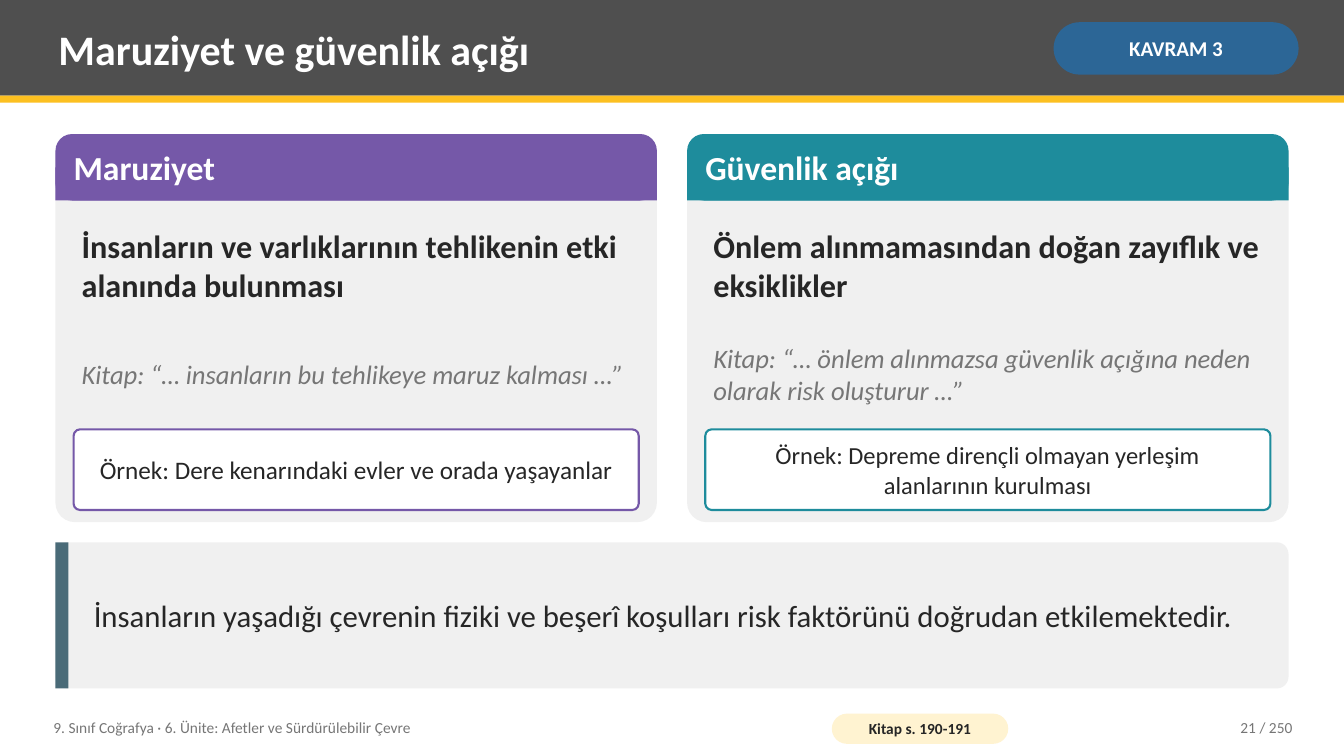
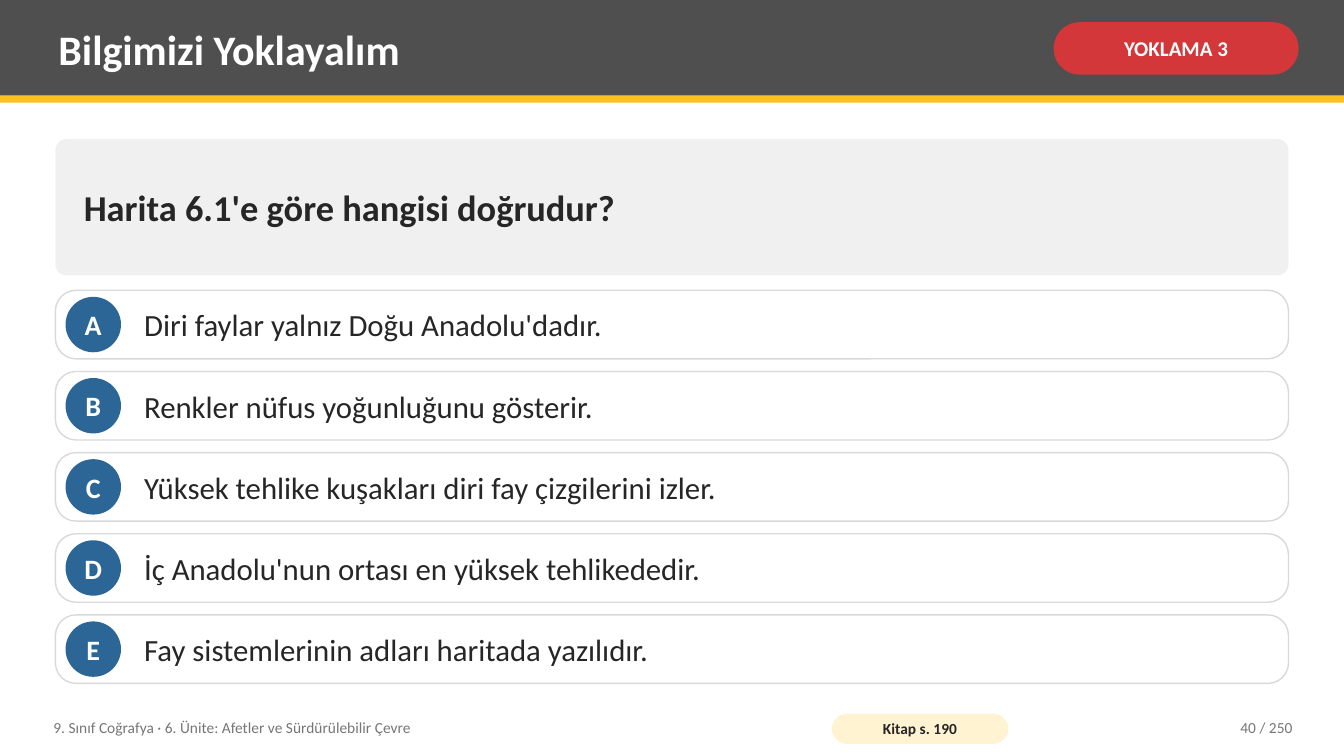
from lxml.etree import SubElement
from pptx import Presentation
from pptx.dml.color import RGBColor
from pptx.enum.shapes import MSO_SHAPE
from pptx.enum.text import MSO_ANCHOR, MSO_AUTO_SIZE, PP_ALIGN
from pptx.util import Inches, Pt

SLIDE_WIDTH, SLIDE_HEIGHT = 13.33, 7.5
MARGIN = 0.55
CONTENT_WIDTH = 12.23
COLUMN_GAP = 0.3
COLUMN_WIDTH = (CONTENT_WIDTH - COLUMN_GAP) / 2
CARD_TOP = 1.33
CARD_PADDING = 0.18
OPTION_TOP, OPTION_HEIGHT, OPTION_STEP = 2.88, 0.68, 0.805
BADGE_SIZE = 0.55
TEXT_INSETS = (0.08, 0.04)

FONT = "Calibri"
WHITE, INK, MUTED, PANEL = "FFFFFF", "262626", "767676", "F0F0F0"
CHARCOAL, YELLOW, CREAM, BORDER = "4F4F4F", "FCC021", "FFF3D1", "D9D9D9"
BLUE, RED, PURPLE, TEAL, SLATE = "2C6696", "D3373A", "7558A8", "1E8C9C", "4A6B78"

FOOTER = "9. Sınıf Coğrafya · 6. Ünite: Afetler ve Sürdürülebilir Çevre"
PAGE_COUNT = 250


def paint(color_format_owner, color):
    """Give a solid fill or a font its colour from a hex string."""
    target = getattr(color_format_owner, "fore_color", None) or color_format_owner.color
    target.rgb = RGBColor.from_string(color)


def write(shape, text, size, color=INK, bold=False, italic=False,
          align=PP_ALIGN.LEFT, insets=TEXT_INSETS, wrap=True):
    """Fill a shape with one vertically centred paragraph; insets are (side, top and bottom)."""
    frame = shape.text_frame
    frame.auto_size = MSO_AUTO_SIZE.NONE
    frame.word_wrap = wrap
    frame.vertical_anchor = MSO_ANCHOR.MIDDLE
    frame.margin_left = frame.margin_right = Inches(insets[0])
    frame.margin_top = frame.margin_bottom = Inches(insets[1])
    paragraph = frame.paragraphs[0]
    paragraph.text = text
    paragraph.alignment = align
    font = paragraph.font
    font.name, font.size, font.bold, font.italic = FONT, Pt(size), bold, italic
    paint(font, color)


def add_label(slide, left, top, width, height, text, size, **style):
    box = slide.shapes.add_textbox(*map(Inches, (left, top, width, height)))
    write(box, text, size, **style)


def add_block(slide, left, top, width, height, fill, rounding=None,
              kind=MSO_SHAPE.RECTANGLE, border=None, border_width=1):
    """Add a filled shape; a rounding makes it a rounded rectangle."""
    if rounding is not None:
        kind = MSO_SHAPE.ROUNDED_RECTANGLE
    shape = slide.shapes.add_shape(kind, *map(Inches, (left, top, width, height)))
    shape.shadow.inherit = False
    if rounding is not None:
        shape.adjustments[0] = rounding
    shape.fill.solid()
    paint(shape.fill, fill)
    if border:
        shape.line.fill.solid()
        paint(shape.line.fill, border)
        shape.line.width = Pt(border_width)
    else:
        shape.line.fill.background()
    return shape


def add_pill(slide, left, top, width, height, fill, text, size, color, insets):
    pill = add_block(slide, left, top, width, height, fill, rounding=0.5)
    write(pill, text, size, color=color, bold=True, align=PP_ALIGN.CENTER, insets=insets)


def add_page(presentation, title, tag, tag_color, source, number):
    """Add a slide with header bands, title, tag and footer."""
    slide = presentation.slides.add_slide(presentation.slide_layouts[5])
    add_block(slide, 0, 0, SLIDE_WIDTH, 0.95, CHARCOAL)
    add_block(slide, 0, 0.95, SLIDE_WIDTH, 0.07, YELLOW)

    heading = slide.shapes.title
    slide.shapes._spTree.append(heading._element)  # bring the title above the bands
    heading.left, heading.top, heading.width, heading.height = map(
        Inches, (0.5, 0.07, 9.75, 0.82))
    write(heading, title, 30, color=WHITE, bold=True)
    add_pill(slide, 10.45, 0.22, 2.43, 0.52, tag_color, tag, 15, WHITE, (0.05, 0.02))

    add_label(slide, 0.45, 7.04, 7.6, 0.36, FOOTER, 11, color=MUTED)
    add_pill(slide, 8.25, 7.08, 1.75, 0.3, CREAM, source, 11, INK, (0.04, 0))
    add_label(slide, 11.3, 7.04, 1.6, 0.36, f"{number} / {PAGE_COUNT}", 11,
              color=MUTED, align=PP_ALIGN.RIGHT)
    return slide


def add_concept_card(slide, column, color, name, definition, quote, example, example_size):
    left = MARGIN + column * (COLUMN_WIDTH + COLUMN_GAP)
    inner_left = left + CARD_PADDING
    inner_width = COLUMN_WIDTH - 2 * CARD_PADDING
    header_height = 0.66

    add_block(slide, left, CARD_TOP, COLUMN_WIDTH, 3.85, PANEL, rounding=0.05)
    add_block(slide, left, CARD_TOP, COLUMN_WIDTH, header_height, color, rounding=0.25)
    add_block(slide, left, CARD_TOP + header_height / 2, COLUMN_WIDTH, header_height / 2, color)
    add_label(slide, left + 0.1, CARD_TOP, COLUMN_WIDTH - 0.2, header_height, name, 24,
              color=WHITE, bold=True)
    add_label(slide, inner_left, 2.08, inner_width, 1.1, definition, 23, bold=True)
    add_label(slide, inner_left, 3.23, inner_width, 0.95, quote, 19, color=MUTED, italic=True)
    example_box = add_block(slide, inner_left, 4.26, inner_width, 0.8, WHITE, rounding=0.08,
                            border=color, border_width=1.5)
    write(example_box, example, example_size, align=PP_ALIGN.CENTER, insets=(0.14, 0.08))


def add_statement(slide, text):
    top, height = 5.38, 1.45
    add_block(slide, MARGIN, top, CONTENT_WIDTH, height, PANEL, rounding=0.08)
    add_block(slide, MARGIN, top, 0.13, height, SLATE)
    add_label(slide, MARGIN + 0.3, top, CONTENT_WIDTH - 0.45, height, text, 22)


def add_question(slide, text):
    panel = add_block(slide, MARGIN, 1.38, CONTENT_WIDTH, 1.35, PANEL, rounding=0.08)
    write(panel, text, 26, bold=True, insets=(0.25, 0.08))


def add_option(slide, row, letter, text):
    top = OPTION_TOP + row * OPTION_STEP
    add_block(slide, MARGIN, top, CONTENT_WIDTH, OPTION_HEIGHT, WHITE, rounding=0.3,
              border=BORDER)
    badge = add_block(slide, MARGIN + 0.1, top + (OPTION_HEIGHT - BADGE_SIZE) / 2,
                      BADGE_SIZE, BADGE_SIZE, BLUE, kind=MSO_SHAPE.OVAL)
    write(badge, letter, 20, color=WHITE, bold=True, align=PP_ALIGN.CENTER,
          insets=(0, 0), wrap=False)
    add_label(slide, MARGIN + 0.8, top, CONTENT_WIDTH - 1, OPTION_HEIGHT, text, 22)


def build_concept_slide(presentation):
    slide = add_page(presentation, "Maruziyet ve güvenlik açığı", "KAVRAM 3", BLUE,
                     "Kitap s. 190-191", 21)
    cards = [
        (PURPLE, "Maruziyet",
         "İnsanların ve varlıklarının tehlikenin etki alanında bulunması",
         "Kitap: “… insanların bu tehlikeye maruz kalması …”",
         "Örnek: Dere kenarındaki evler ve orada yaşayanlar", 18),
        (TEAL, "Güvenlik açığı",
         "Önlem alınmamasından doğan zayıflık ve eksiklikler",
         "Kitap: “… önlem alınmazsa güvenlik açığına neden olarak risk oluşturur …”",
         "Örnek: Depreme dirençli olmayan yerleşim alanlarının kurulması", 17.5),
    ]
    for column, card in enumerate(cards):
        add_concept_card(slide, column, *card)
    add_statement(slide, "İnsanların yaşadığı çevrenin fiziki ve beşerî koşulları "
                         "risk faktörünü doğrudan etkilemektedir.")


def build_quiz_slide(presentation):
    slide = add_page(presentation, "Bilgimizi Yoklayalım", "YOKLAMA 3", RED,
                     "Kitap s. 190", 40)
    add_question(slide, "Harita 6.1'e göre hangisi doğrudur?")
    options = [
        "Diri faylar yalnız Doğu Anadolu'dadır.",
        "Renkler nüfus yoğunluğunu gösterir.",
        "Yüksek tehlike kuşakları diri fay çizgilerini izler.",
        "İç Anadolu'nun ortası en yüksek tehlikededir.",
        "Fay sistemlerinin adları haritada yazılıdır.",
    ]
    for row, (letter, text) in enumerate(zip("ABCDE", options)):
        add_option(slide, row, letter, text)


def main():
    presentation = Presentation()
    presentation.slide_width = Inches(SLIDE_WIDTH)
    presentation.slide_height = Inches(SLIDE_HEIGHT)
    build_concept_slide(presentation)
    build_quiz_slide(presentation)
    presentation.save("out.pptx")


if __name__ == "__main__":
    main()
